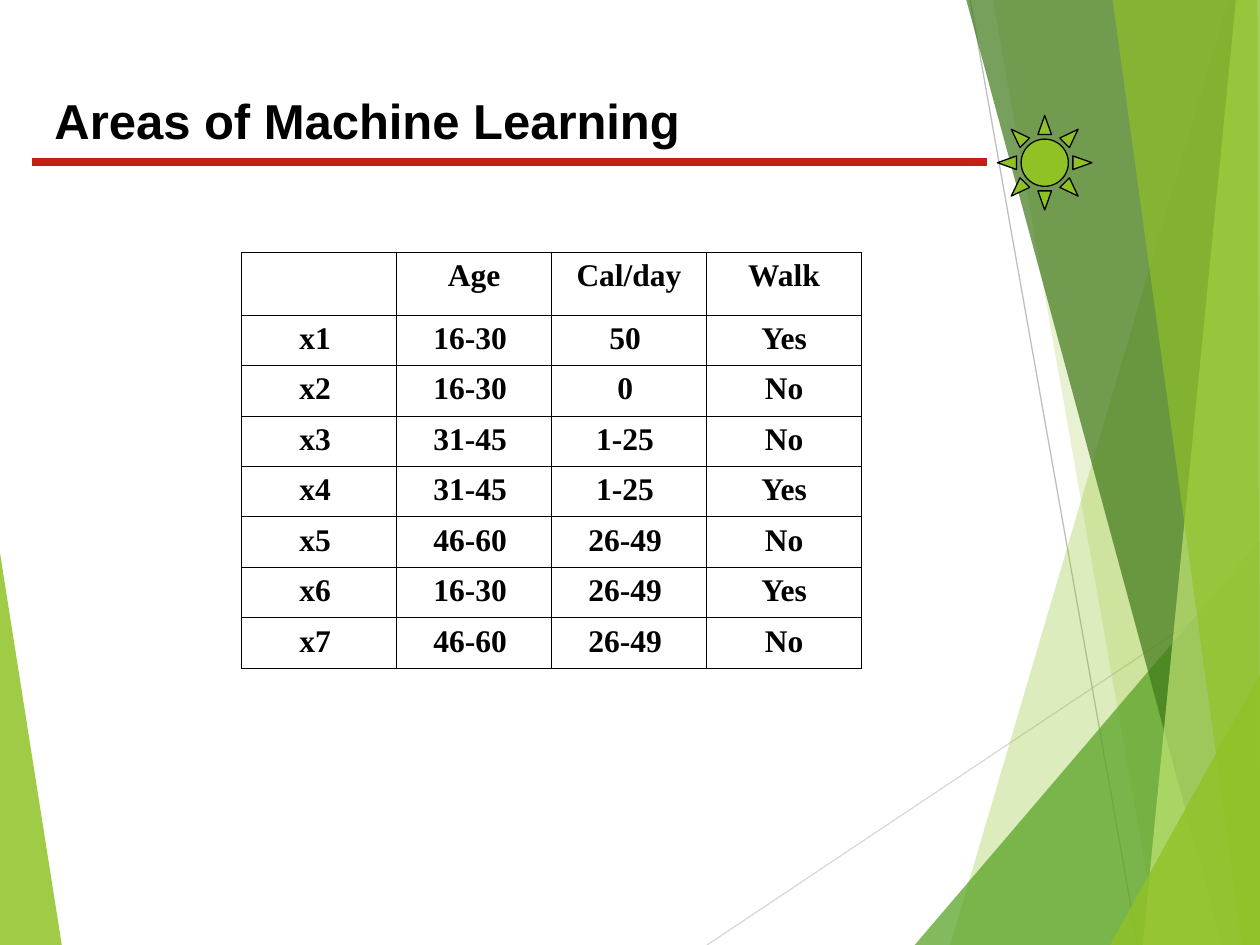
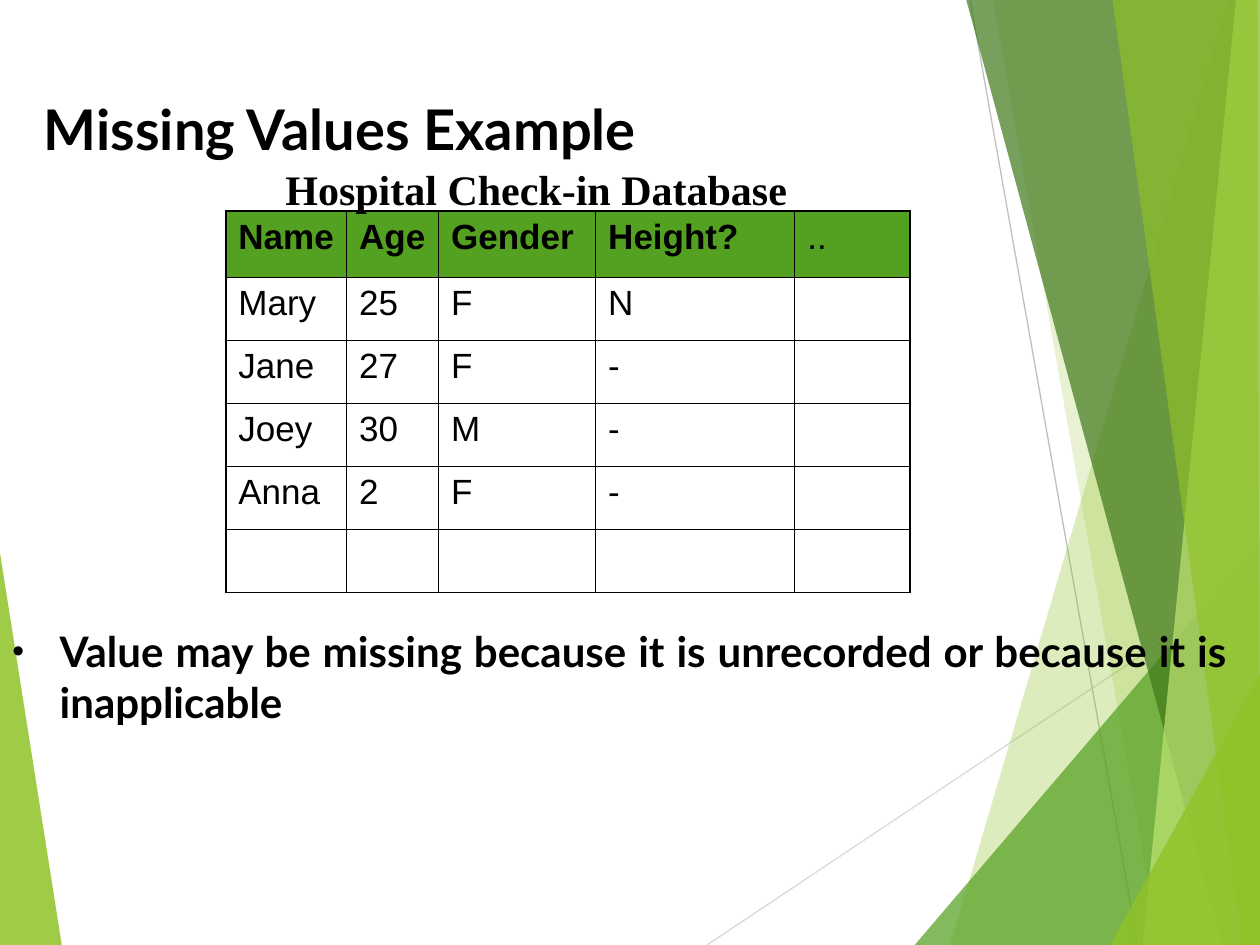
from itertools import product

from lxml import etree
from pptx import Presentation
from pptx.dml.color import RGBColor
from pptx.enum.shapes import MSO_CONNECTOR, MSO_SHAPE
from pptx.enum.text import PP_ALIGN
from pptx.oxml.ns import qn
from pptx.util import Pt

STRAIGHT = MSO_CONNECTOR.STRAIGHT
SUN = MSO_SHAPE.SUN
LEFT, CENTER, JUSTIFY = PP_ALIGN.LEFT, PP_ALIGN.CENTER, PP_ALIGN.JUSTIFY

BLACK = RGBColor(0x00, 0x00, 0x00)
RED = RGBColor(0xC7, 0x1D, 0x19)
LIME = RGBColor(0x90, 0xC2, 0x26)
PALE_LIME = RGBColor(0xC0, 0xE4, 0x74)
GREEN = RGBColor(0x54, 0xA0, 0x21)
DARK_GREEN = RGBColor(0x3F, 0x78, 0x19)
GRAY = RGBColor(0xBF, 0xBF, 0xBF)
LIGHT_GRAY = RGBColor(0xD9, 0xD9, 0xD9)

SANS, SERIF, HEADING = "Arial", "Times New Roman", "Lato"
SLIDE_W, SLIDE_H = 720, 540
THIN, THICK = 0.45, 1.08

RAYS = [
    ((404, 540), (720, 329.3), LIGHT_GRAY),
    ((554.4, 0), (650.2, 540), GRAY),
]
FACETS = [
    (LIME, 85, [(0, 316), (35.3, 540), (0, 540)]),
    (LIME, 30, [(702, 0), (543, 540), (720, 540), (720, 0)]),
    (LIME, 20, [(567.4, 0), (662.4, 540), (720, 540), (720, 0)]),
    (GREEN, 72, [(522.7, 540), (720, 308.9), (720, 540)]),
    (DARK_GREEN, 70, [(552.2, 0), (698.4, 540), (720, 540), (720, 0)]),
    (PALE_LIME, 70, [(706.3, 0), (653, 540), (720, 540), (720, 0)]),
    (LIME, 65, [(635.8, 0), (709.9, 540), (720, 540), (718.6, 0)]),
    (LIME, 80, [(634.3, 540), (720, 385.2), (720, 540)]),
]

WALKERS = [
    ["", "Age", "Cal/day", "Walk"],
    ["x1 ", "16-30 ", "50 ", "Yes"],
    ["x2 ", "16-30 ", "0 ", "No"],
    ["x3 ", "31-45 ", "1-25 ", "No"],
    ["x4 ", "31-45 ", "1-25 ", "Yes"],
    ["x5 ", "46-60 ", "26-49 ", "No"],
    ["x6 ", "16-30 ", "26-49 ", "Yes"],
    ["x7 ", "46-60 ", "26-49 ", "No"],
]
PATIENTS = [
    ["Name", "Age", "Gender", "Height?", ".."],
    ["Mary", "25", "F", "N", ""],
    ["Jane", "27", "F", "-", ""],
    ["Joey", "30", "M", "-", ""],
    ["Anna", "2", "F", "-", ""],
    ["", "", "", "", ""],
]


def format_text(tf, font, size, bold, align=LEFT):
    for p in tf.paragraphs:
        p.alignment = align
        for r in p.runs:
            r.font.name = font
            r.font.size = Pt(size)
            r.font.bold = bold
            r.font.color.rgb = BLACK


def add_text(slide, box, text, font, size, align=LEFT, wrap=True):
    sp = slide.shapes.add_textbox(*map(Pt, box))
    tf = sp.text_frame
    tf.word_wrap = wrap
    tf.text = text
    format_text(tf, font, size, True, align)
    return tf


def add_line(slide, start, end, color, width):
    line = slide.shapes.add_connector(STRAIGHT, *map(Pt, (*start, *end)))
    line.line.color.rgb = color
    line.line.width = Pt(width)
    etree.SubElement(line._element.spPr, qn("a:effectLst"))


def add_facet(slide, color, opacity, points):
    corners = [(Pt(x), Pt(y)) for x, y in points]
    builder = slide.shapes.build_freeform(*corners[0])
    builder.add_line_segments(corners[1:], close=True)
    sp = builder.convert_to_shape()
    sp.shadow.inherit = False
    sp.line.fill.background()
    sp.fill.solid()
    sp.fill.fore_color.rgb = color
    clr = sp._element.spPr.find(qn("a:solidFill"))[0]
    etree.SubElement(clr, qn("a:alpha"), val=str(opacity * 1000))


def add_backdrop(slide, left=0, top=0):
    def shift(point):
        return left + point[0], top + point[1]

    add_facet(slide, *FACETS[0][:2], map(shift, FACETS[0][2]))
    for start, end, color in RAYS:
        add_line(slide, shift(start), shift(end), color, 0.75)
    for color, opacity, points in FACETS[1:]:
        add_facet(slide, color, opacity, map(shift, points))


def set_borders(cell, widths):
    tc_pr = cell._tc.get_or_add_tcPr()
    for side, width in zip("LRTB", widths):
        ln = etree.SubElement(tc_pr, qn(f"a:ln{side}"), w=str(Pt(width)))
        fill = etree.SubElement(ln, qn("a:solidFill"))
        etree.SubElement(fill, qn("a:srgbClr"), val=str(BLACK))


def add_grid(slide, left, top, widths, heights, rows, font, size,
             align=LEFT, frame=THIN, header_fill=None):
    n_rows, n_cols = len(rows), len(widths)
    box = (left, top, sum(widths), sum(heights))
    table = slide.shapes.add_table(n_rows, n_cols, *map(Pt, box)).table
    table.first_row = table.horz_banding = False
    for col, width in zip(table.columns, widths):
        col.width = Pt(width)
    for row, height in zip(table.rows, heights):
        row.height = Pt(height)
    for i, j in product(range(n_rows), range(n_cols)):
        cell = table.cell(i, j)
        text = rows[i][j]
        cell.text = text
        bold = header_fill is None or (i == 0 and text != "..")
        format_text(cell.text_frame, font, size, bold, align)
        edges = (j == 0, j == n_cols - 1, i == 0, i == n_rows - 1)
        set_borders(cell, [frame if edge else THIN for edge in edges])
        if i == 0 and header_fill is not None:
            cell.fill.solid()
            cell.fill.fore_color.rgb = header_fill
        else:
            cell.fill.background()


def add_sun(slide, box):
    sp = slide.shapes.add_shape(SUN, *map(Pt, box))
    sp.shadow.inherit = False
    sp.fill.solid()
    sp.fill.fore_color.rgb = LIME
    sp.line.color.rgb = BLACK
    sp.line.width = Pt(0.75)


def add_bullet(slide, box, text):
    tf = add_text(slide, box, text, HEADING, 24, JUSTIFY)
    p_pr = tf.paragraphs[0]._p.get_or_add_pPr()
    p_pr.set("marL", str(Pt(27)))
    p_pr.set("indent", str(Pt(-27)))
    etree.SubElement(p_pr, qn("a:buSzPct"), val="80000")
    etree.SubElement(p_pr, qn("a:buFont"), typeface=SANS)
    etree.SubElement(p_pr, qn("a:buChar"), char="•")


def build_areas(slide):
    add_backdrop(slide)
    add_line(slide, (18, 92.7), (564, 92.7), RED, 4.5)
    add_sun(slide, (570, 66, 54, 54))
    add_text(slide, (24, 48, 480, 41), "Areas of Machine Learning", SANS, 28)
    add_grid(slide, 138, 144, [88.6] * 4, [36] + [28.8] * 7, WALKERS,
             SERIF, 18, align=CENTER)


def build_missing_values(slide):
    add_backdrop(slide)
    add_text(slide, (18, 50.4, 450, 46), "Missing Values Example", HEADING, 32)
    add_bullet(slide, (0, 354, 708, 168),
               "Value may be missing because it is unrecorded "
               "or because it is inapplicable")
    add_grid(slide, 129, 120.6, [69, 52.6, 89.8, 113.8, 66],
             [38] + [36] * 5, PATIENTS, SANS, 20,
             frame=THICK, header_fill=GREEN)
    add_text(slide, (156, 90, 301, 36), "Hospital Check-in Database",
             SERIF, 24, wrap=False)


def main():
    prs = Presentation()
    prs.slide_width, prs.slide_height = Pt(SLIDE_W), Pt(SLIDE_H)
    for build in (build_areas, build_missing_values):
        build(prs.slides.add_slide(prs.slide_layouts[6]))
    prs.save("out.pptx")


if __name__ == "__main__":
    main()
